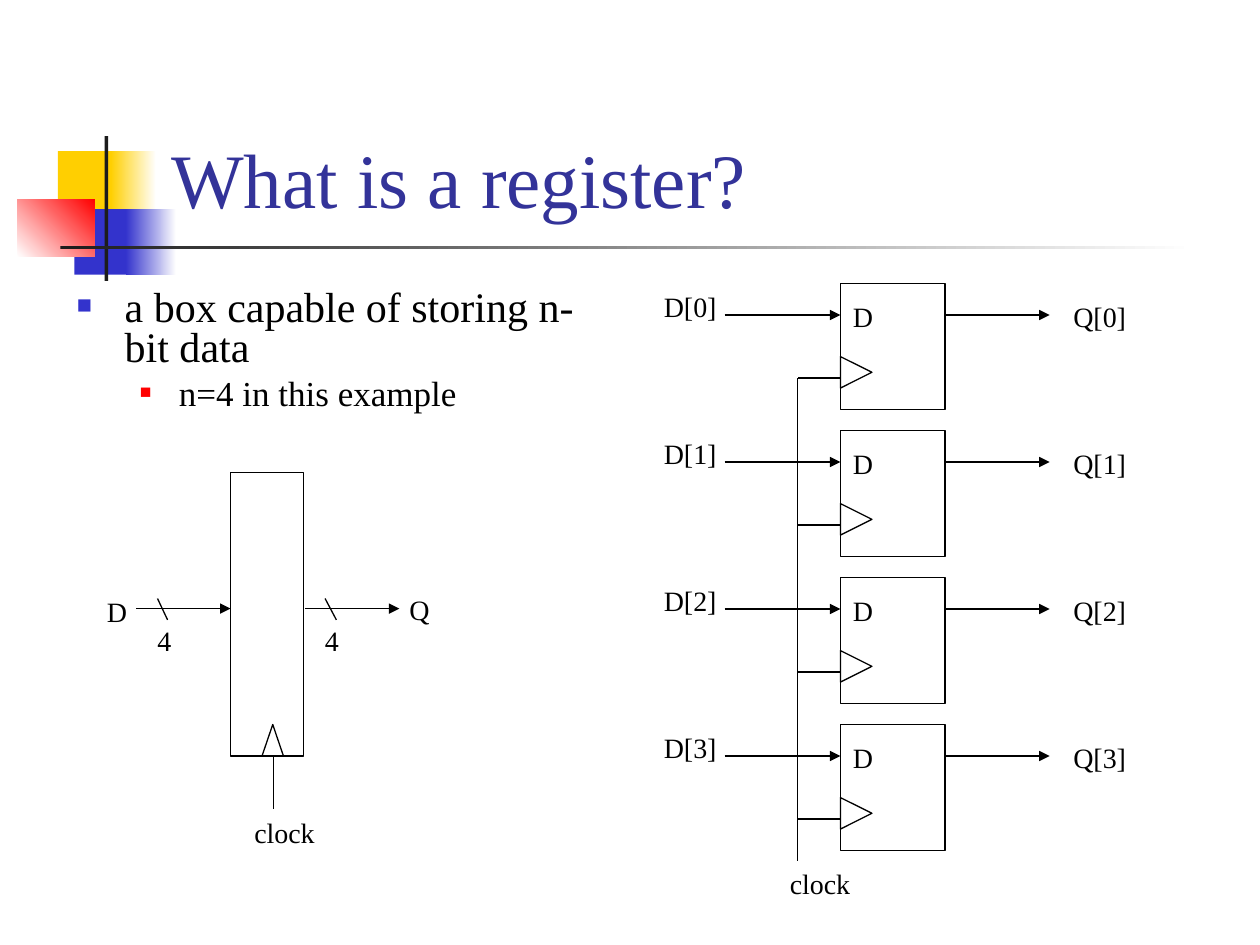
"""Build a slide that explains a four-bit register with two diagrams."""
from typing import NamedTuple, Optional

import pptx
import pptx.dml.color
import pptx.enum.shapes
import pptx.enum.text
import pptx.oxml
import pptx.oxml.ns
import pptx.util
from pptx.util import Inches

FONT = "Times New Roman"
INK = "000000"
ROW_STEP = 3.5 / 3
SHAPES = pptx.enum.shapes.MSO_SHAPE
FIT = pptx.enum.text.MSO_AUTO_SIZE


class Ornament(NamedTuple):
    left: float
    top: float
    width: float
    height: float
    start: str
    end: Optional[str] = None
    angle: float = 0


class Bullet(NamedTuple):
    text: str
    level: int
    size: int
    space_before: int
    margin: float
    hanging: float
    color: str
    percent: int


class Label(NamedTuple):
    text: str
    left: float
    top: float
    width: float


class Wire(NamedTuple):
    x1: float
    y1: float
    x2: float
    y2: float
    arrow: bool = False


ORNAMENTS = [
    Ornament(0.46, 1.2, 0.48, 0.52, "FFCF01"),
    Ornament(0.88, 1.2, 0.36, 0.52, "FFCF01", "FFFFFF"),
    Ornament(0.59, 1.66, 0.46, 0.52, "3333CC"),
    Ornament(1, 1.66, 0.4, 0.52, "3333CC", "FFFFFF"),
    Ornament(0.14, 1.58, 0.61, 0.46, "FFFFFF", "FF0000", 45),
    Ornament(0.83, 1.08, 0.03, 1.15, "1C1C1C"),
    Ornament(0.48, 1.95, 9, 0.03, "1C1C1C", "FFFFFF"),
]
BULLETS = [
    Bullet("a box capable of storing n-bit data", 0, 24, 6, 0.38, 0.38, "3333CC", 60),
    Bullet("n=4 in this example", 1, 20, 5, 0.81, 0.31, "FF0000", 55),
]
REGISTER_WIRES = [
    Wire(1.08, 4.83, 1.83, 4.83, True),
    Wire(2.42, 4.83, 3.17, 4.83, True),
    Wire(1.25, 4.75, 1.33, 4.92),
    Wire(2.58, 4.75, 2.67, 4.92),
    Wire(2.17, 6, 2.17, 6.42),
]
REGISTER_LABELS = [
    Label("4", 1.15, 4.9, 0.31),
    Label("4", 2.48, 4.9, 0.31),
    Label("D", 0.75, 4.67, 0.36),
    Label("Q", 3.15, 4.65, 0.36),
    Label("clock", 1.92, 6.42, 0.68),
]


def rgb(color: str) -> pptx.dml.color.RGBColor:
    return pptx.dml.color.RGBColor.from_string(color)


def set_font(para, size: int, color: str = INK) -> None:
    para.font.name = FONT
    para.font.size = pptx.util.Pt(size)
    para.font.color.rgb = rgb(color)


def place(shape, left: float, top: float, width: float, height: float) -> None:
    shape.left, shape.top = Inches(left), Inches(top)
    shape.width, shape.height = Inches(width), Inches(height)


def add_ornament(page, item: Ornament) -> None:
    box = page.shapes.add_shape(SHAPES.RECTANGLE, 0, 0, 0, 0)
    place(box, item.left, item.top, item.width, item.height)
    box.shadow.inherit = False
    box.line.fill.background()
    if item.end:
        box.fill.gradient()
        box.fill.gradient_angle = item.angle
        for stop, color in zip(box.fill.gradient_stops, (item.start, item.end)):
            stop.color.rgb = rgb(color)
    else:
        box.fill.solid()
        box.fill.fore_color.rgb = rgb(item.start)
    page.shapes.title.element.addprevious(box.element)


def add_outline(page, kind, left: float, top: float, width: float, height: float,
                rotation: float = 0) -> None:
    shape = page.shapes.add_shape(kind, 0, 0, 0, 0)
    place(shape, left, top, width, height)
    shape.rotation = rotation
    shape.shadow.inherit = False
    shape.fill.background()
    shape.line.color.rgb = rgb(INK)
    shape.line.width = pptx.util.Pt(0.75)


def add_wire(page, wire: Wire) -> None:
    line = page.shapes.add_connector(
        pptx.enum.shapes.MSO_CONNECTOR.STRAIGHT,
        Inches(wire.x1), Inches(wire.y1), Inches(wire.x2), Inches(wire.y2))
    line.line.color.rgb = rgb(INK)
    line.line.width = pptx.util.Pt(0.75)
    properties = line.element.spPr
    if wire.arrow:
        stroke = properties.find(pptx.oxml.ns.qn("a:ln"))
        add_xml(stroke, "tailEnd", 'type="triangle"')
    add_xml(properties, "effectLst")


def add_xml(parent, tag: str, attributes: str = "", content: str = "") -> None:
    namespace = pptx.oxml.ns.nsdecls("a")
    parent.append(pptx.oxml.parse_xml(
        f"<a:{tag} {namespace} {attributes}>{content}</a:{tag}>"))


def add_label(page, label: Label) -> None:
    box = page.shapes.add_textbox(0, 0, 0, 0)
    place(box, label.left, label.top, label.width, 0.37)
    frame = box.text_frame
    frame.word_wrap = False
    frame.auto_size = FIT.SHAPE_TO_FIT_TEXT
    frame.text = label.text
    set_font(frame.paragraphs[0], 16)


def fill_title(page) -> None:
    title = page.shapes.title
    place(title, 1.26, 0.23, 8.52, 1.6)
    frame = title.text_frame
    frame.text = "What is a register?"
    frame.auto_size = FIT.NONE
    frame.vertical_anchor = pptx.enum.text.MSO_ANCHOR.BOTTOM
    para = frame.paragraphs[0]
    para.alignment = pptx.enum.text.PP_ALIGN.LEFT
    set_font(para, 44, "333399")


def fill_body(page) -> None:
    body = page.placeholders[1]
    place(body, 0.51, 2.25, 4.41, 1.1)
    frame = body.text_frame
    frame.text = "\n".join(bullet.text for bullet in BULLETS)
    frame.auto_size = FIT.NONE
    for para, bullet in zip(frame.paragraphs, BULLETS):
        para.level = bullet.level
        para.line_spacing = 0.8
        para.space_before = pptx.util.Pt(bullet.space_before)
        properties = para._p.get_or_add_pPr()
        properties.set("marL", str(Inches(bullet.margin)))
        properties.set("indent", str(-Inches(bullet.hanging)))
        add_xml(properties, "buClr", content=f'<a:srgbClr val="{bullet.color}"/>')
        add_xml(properties, "buSzPct", f'val="{bullet.percent * 1000}"')
        add_xml(properties, "buChar", 'char="■"')
        set_font(para, bullet.size)


def add_flip_flop(page, index: int) -> None:
    top = 2.25 + index * ROW_STEP
    add_outline(page, SHAPES.RECTANGLE, 6.67, top, 0.83, 1)
    add_outline(page, SHAPES.ISOSCELES_TRIANGLE, 6.67, top + 0.58, 0.25, 0.25, 90)
    add_wire(page, Wire(7.5, top + 0.25, 8.33, top + 0.25, True))
    add_wire(page, Wire(5.75, top + 0.25, 6.67, top + 0.25, True))
    add_wire(page, Wire(6.67, top + 0.75, 6.33, top + 0.75))
    add_label(page, Label("D", 6.67, top + 0.08, 0.36))
    add_label(page, Label(f"D[{index}]", 5.17, top, 0.62))
    add_label(page, Label(f"Q[{index}]", 8.42, top + 0.08, 0.62))


def main() -> None:
    deck = pptx.Presentation()
    deck.slide_width, deck.slide_height = Inches(10), Inches(7.5)
    page = deck.slides.add_slide(deck.slide_layouts[1])
    fill_title(page)
    fill_body(page)
    for item in ORNAMENTS:
        add_ornament(page, item)
    for index in range(4):
        add_flip_flop(page, index)
    add_wire(page, Wire(6.33, 3, 6.33, 6.83))
    add_label(page, Label("clock", 6.17, 6.83, 0.68))
    add_outline(page, SHAPES.RECTANGLE, 1.83, 3.75, 0.58, 2.25)
    add_outline(page, SHAPES.ISOSCELES_TRIANGLE, 2.08, 5.75, 0.17, 0.25)
    for wire in REGISTER_WIRES:
        add_wire(page, wire)
    for label in REGISTER_LABELS:
        add_label(page, label)
    deck.save("out.pptx")


if __name__ == "__main__":
    main()
